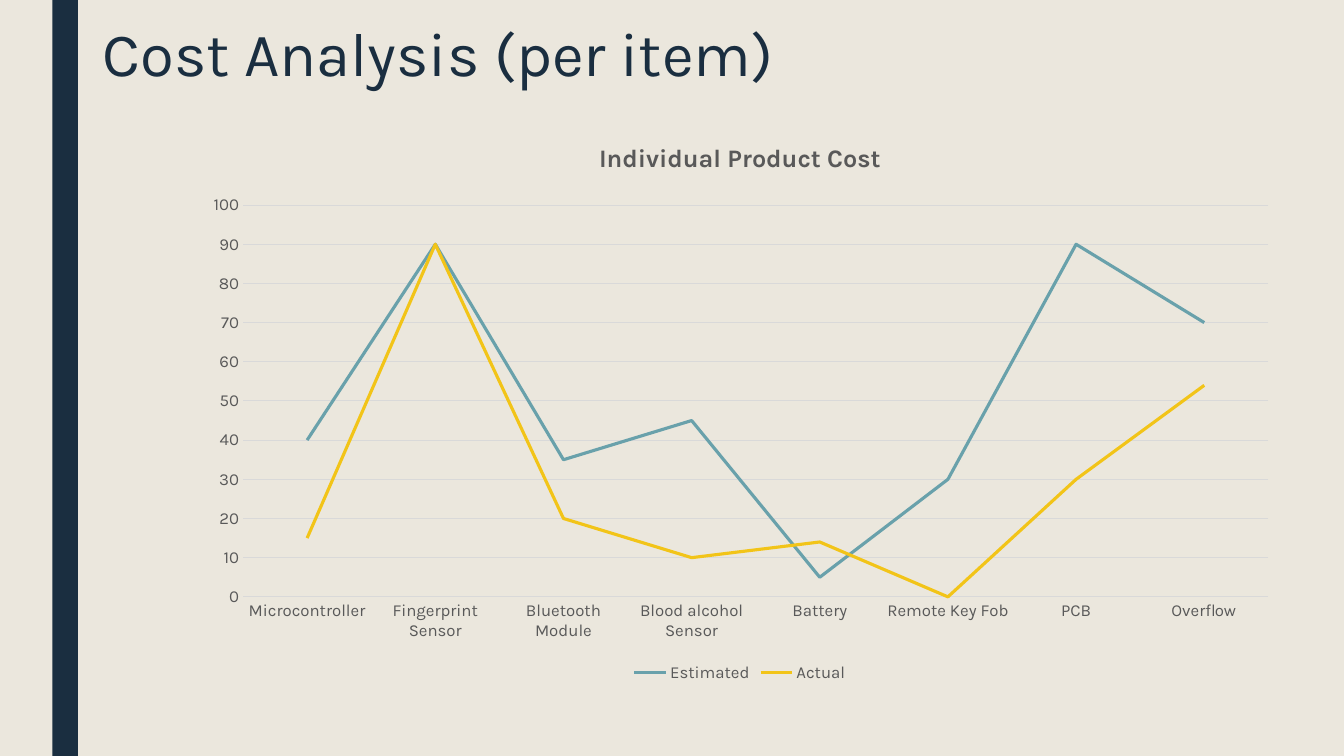
import pptx
import pptx.chart.data
import pptx.dml.color
import pptx.enum.chart
import pptx.enum.shapes
import pptx.enum.text
import pptx.oxml
import pptx.oxml.ns
import pptx.util
from dataclasses import dataclass


@dataclass(frozen=True)
class Theme:
    wide: float = 13.33
    high: float = 7.5
    face: str = "Karla"
    back: str = "EBE7DD"
    ink: str = "1A2E40"
    text: str = "595959"
    rule: str = "D9D9D9"
    lines: tuple = ("69A1AB", "F2C418")
    head: int = 44
    name: int = 18
    label: int = 12


THEME = Theme()
ITEMS = ["Microcontroller", "Fingerprint Sensor", "Bluetooth Module",
         "Blood alcohol Sensor", "Battery", "Remote Key Fob", "PCB", "Overflow"]
COSTS = {
    "Estimated": [40, 90, 35, 45, 5, 30, 90, 70],
    "Actual": [15, 90, 20, 10, 14, 0, 30, 54],
}
PLOT = {"x": 0.047, "y": 0.15, "w": 0.935, "h": 0.692}


def tint(code):
    return pptx.dml.color.RGBColor.from_string(code)


def apply(item, form):
    for key, value in form.items():
        setattr(item, key, value)


def style(font, size, code, bold=False):
    apply(font, {"name": THEME.face, "size": pptx.util.Pt(size), "bold": bold})
    font.color.rgb = tint(code)


def stroke(line, code, width):
    line.color.rgb = tint(code)
    line.width = pptx.util.Pt(width)


def box(left, top, width, height):
    sides = (left * THEME.wide, top * THEME.high,
             width * THEME.wide, height * THEME.high)
    return [pptx.util.Inches(side) for side in sides]


def add_bar(slide, place):
    bar = slide.shapes.add_shape(
        pptx.enum.shapes.MSO_SHAPE.RECTANGLE, *place)
    bar.shadow.inherit = False
    bar.fill.solid()
    bar.fill.fore_color.rgb = tint(THEME.ink)
    bar.line.fill.background()


def set_title(slide, place, words):
    title = slide.shapes.title
    apply(title, dict(zip(("left", "top", "width", "height"), place)))
    frame = title.text_frame
    apply(frame, {
        "text": words,
        "word_wrap": True,
        "auto_size": pptx.enum.text.MSO_AUTO_SIZE.NONE,
        "vertical_anchor": pptx.enum.text.MSO_ANCHOR.TOP,
    })
    para = frame.paragraphs[0]
    apply(para, {"alignment": pptx.enum.text.PP_ALIGN.LEFT,
                 "line_spacing": 0.89})
    style(para.runs[0].font, THEME.head, THEME.ink)


def set_plot(chart):
    area = chart._chartSpace.chart.plotArea
    for old in area.findall(pptx.oxml.ns.qn("c:layout")):
        area.remove(old)
    parts = ['<c:layoutTarget val="inner"/>',
             '<c:xMode val="edge"/>', '<c:yMode val="edge"/>']
    parts += [f'<c:{key} val="{share}"/>' for key, share in PLOT.items()]
    area.insert(0, pptx.oxml.parse_xml(
        f'<c:layout {pptx.oxml.ns.nsdecls("c")}><c:manualLayout>'
        f'{"".join(parts)}</c:manualLayout></c:layout>'))


def set_axes(chart):
    none = pptx.enum.chart.XL_TICK_MARK.NONE
    for axis in (chart.category_axis, chart.value_axis):
        apply(axis, {"major_tick_mark": none, "minor_tick_mark": none})
        style(axis.tick_labels.font, THEME.label, THEME.text)
    chart.category_axis.has_major_gridlines = False
    stroke(chart.category_axis.format.line, THEME.rule, 0.75)
    scale = chart.value_axis
    apply(scale, {"minimum_scale": 0, "maximum_scale": 100,
                  "major_unit": 10, "has_major_gridlines": True})
    scale.format.line.fill.background()
    stroke(scale.major_gridlines.format.line, THEME.rule, 0.75)


def add_graph(slide, place, words):
    data = pptx.chart.data.CategoryChartData()
    data.categories = ITEMS
    for name, costs in COSTS.items():
        data.add_series(name, costs)
    chart = slide.shapes.add_chart(
        pptx.enum.chart.XL_CHART_TYPE.LINE, *place, data).chart
    style(chart.font, 10, "000000")
    apply(chart, {"has_title": True, "has_legend": True})
    frame = chart.chart_title.text_frame
    frame.text = words
    style(frame.paragraphs[0].runs[0].font, THEME.name, THEME.text, True)
    apply(chart.legend, {
        "position": pptx.enum.chart.XL_LEGEND_POSITION.BOTTOM,
        "include_in_layout": False,
    })
    style(chart.legend.font, THEME.label, THEME.text)
    chart.plots[0].vary_by_categories = False
    for series, code in zip(chart.plots[0].series, THEME.lines):
        series.smooth = False
        series.marker.style = pptx.enum.chart.XL_MARKER_STYLE.NONE
        stroke(series.format.line, code, 2.25)
    set_axes(chart)
    set_plot(chart)


def main():
    deck = pptx.Presentation()
    apply(deck, {"slide_width": pptx.util.Inches(THEME.wide),
                 "slide_height": pptx.util.Inches(THEME.high)})
    slide = deck.slides.add_slide(deck.slide_layouts.get_by_name("Title Only"))
    slide.background.fill.solid()
    slide.background.fill.fore_color.rgb = tint(THEME.back)
    add_bar(slide, box(0.039, 0, 0.019, 1))
    set_title(slide, box(0.069, 0.025, 0.788, 0.216),
              "Cost Analysis (per item)")
    add_graph(slide, box(0.1425, 0.159, 0.816, 0.749),
              "Individual Product Cost")
    deck.save("out.pptx")


if __name__ == "__main__":
    main()
